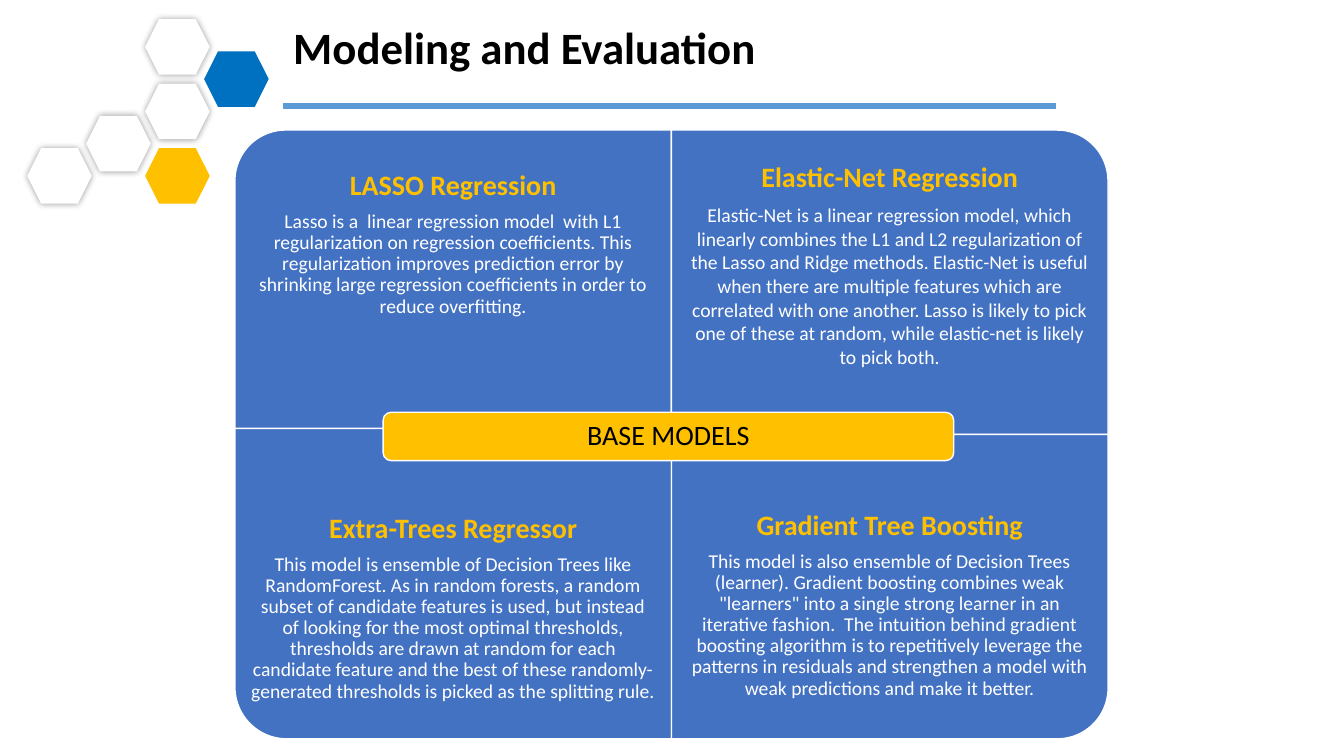
from lxml import etree
from pptx import Presentation
from pptx.dml.color import RGBColor
from pptx.enum import shapes, text
from pptx.oxml.ns import qn
from pptx.util import Inches, Pt

WHITE, BLACK, BLUE, GOLD = "FFFFFF", "000000", "4372C3", "FFC000"
SHAPE = shapes.MSO_SHAPE
ALIGN, ANCHOR = text.PP_ALIGN, text.MSO_ANCHOR

# Each model: name, description, top of its text, line spacing of the description
MODELS = [
    ("LASSO Regression",
     "Lasso is a  linear regression model  with L1 regularization on regression "
     "coefficients. This regularization improves prediction error by shrinking large "
     "regression coefficients in order to reduce overfitting.", 1.70, 0.9),
    ("Elastic-Net Regression",
     "Elastic-Net is a linear regression model, which linearly combines the L1 and L2 "
     "regularization of the Lasso and Ridge methods. Elastic-Net is useful when there are "
     "multiple features which are correlated with one another. Lasso is likely to pick one "
     "of these at random, while elastic-net is likely to pick both.", 1.62, 1.0),
    ("Extra-Trees Regressor",
     "This model is ensemble of Decision Trees like RandomForest. As in random forests, a "
     "random subset of candidate features is used, but instead of looking for the most "
     "optimal thresholds, thresholds are drawn at random for each candidate feature and the "
     "best of these randomly-generated thresholds is picked as the splitting rule.", 5.10, 0.9),
    ("Gradient Tree Boosting",
     "This model is also ensemble of Decision Trees (learner). Gradient boosting combines "
     "weak \"learners\" into a single strong learner in an iterative fashion.  The intuition "
     "behind gradient boosting algorithm is to repetitively leverage the patterns in "
     "residuals and strengthen a model with weak predictions and make it better.", 5.07, 0.9),
]


def rgb(value):
    return RGBColor.from_string(value)


def add_block(s, kind, x, y, w, h, fill, line=None):
    sp = s.shapes.add_shape(kind, Inches(x), Inches(y), Inches(w), Inches(h))
    sp.shadow.inherit = False
    sp.fill.solid()
    sp.fill.fore_color.rgb = rgb(fill)
    if line:
        sp.line.color.rgb = rgb(line)
        sp.line.width = Pt(1)
    else:
        sp.line.fill.background()
    return sp


def set_frame(tf, side, top, anchor=ANCHOR.TOP):
    tf.word_wrap = True
    tf.vertical_anchor = anchor
    tf.margin_left = tf.margin_right = Inches(side)
    tf.margin_top = tf.margin_bottom = Inches(top)


def add_run(p, words, size, color, bold=False):
    r = p.add_run()
    r.text = words
    r.font.name = "Calibri"
    r.font.size = Pt(size)
    r.font.bold = bold
    r.font.color.rgb = rgb(color)


def add_glow(sp):
    """Soft shadow on all sides."""
    effects = sp._element.spPr.find(qn("a:effectLst"))
    shadow = etree.SubElement(effects, qn("a:outerShdw"), blurRad=str(Pt(5)),
                              dist="0", dir="0", algn="ctr", rotWithShape="0")
    color = etree.SubElement(shadow, qn("a:srgbClr"), val=BLACK)
    etree.SubElement(color, qn("a:alpha"), val="40000")


def add_honeycomb(s, x, y):
    cells = [(2, 2, WHITE), (2, 4, GOLD), (3, 1, "0070C0"),
             (2, 0, WHITE), (1, 3, WHITE), (0, 4, WHITE)]
    for col, row, fill in cells:
        sp = add_block(s, SHAPE.HEXAGON, x + 0.585 * col, y + 0.32 * row, 0.64, 0.55, fill)
        if fill == WHITE:
            add_glow(sp)


def add_header(s, x, y, w):
    box = s.shapes.add_textbox(Inches(x), Inches(y), Inches(7.05), Inches(0.64))
    set_frame(box.text_frame, 0.1, 0.05)
    add_run(box.text_frame.paragraphs[0], "Modeling and Evaluation", 32, BLACK, True)
    # Rule under the title
    rule = s.shapes.add_connector(shapes.MSO_CONNECTOR.STRAIGHT, Inches(x), Inches(y + 0.9),
                                  Inches(x + w), Inches(y + 0.9))
    rule.line.color.rgb = rgb("5B9BD5")
    rule.line.width = Pt(4.5)
    etree.SubElement(rule._element.spPr, qn("a:effectLst"))


def add_quadrant(s, x, y, w, h, rotation, model):
    name, description, text_top, spacing = model
    # Panel with its one round corner facing outwards
    pw, ph = (h, w) if rotation in (90, 270) else (w, h)
    panel = add_block(s, SHAPE.ROUND_1_RECTANGLE, x + (w - pw) / 2, y + (h - ph) / 2,
                      pw, ph, BLUE, WHITE)
    panel.rotation = rotation
    # Heading and description
    box = s.shapes.add_textbox(Inches(x), Inches(text_top), Inches(w), Inches(2.2))
    tf = box.text_frame
    set_frame(tf, 0.16, 0)
    p = tf.paragraphs[0]
    p.alignment, p.line_spacing = ALIGN.CENTER, 0.9
    add_run(p, name, 20, GOLD, True)
    p = tf.add_paragraph()
    p.alignment, p.line_spacing, p.space_before = ALIGN.CENTER, spacing, Pt(7)
    add_run(p, description, 14, WHITE)


def add_matrix(s, x, y):
    w, h = 4.33, 3.02
    places = [(x, y, h, 270), (x + w, y, h, 0),
              (x, y + 2.96, 3.08, 180), (x + w, y + h, h, 90)]
    for (left, top, height, rotation), model in zip(places, MODELS):
        add_quadrant(s, left, top, w, height, rotation, model)
    # Centre label
    label = add_block(s, SHAPE.ROUNDED_RECTANGLE, x + 1.47, y + 2.8, 5.66, 0.48, GOLD, WHITE)
    set_frame(label.text_frame, 0.08, 0.08, ANCHOR.MIDDLE)
    p = label.text_frame.paragraphs[0]
    p.alignment, p.line_spacing = ALIGN.CENTER, 0.9
    add_run(p, "BASE MODELS", 20, BLACK)


def main():
    prs = Presentation()
    prs.slide_width, prs.slide_height = Inches(13.33), Inches(7.5)
    s = prs.slides.add_slide(prs.slide_layouts[6])
    add_honeycomb(s, 0.27, 0.19)
    add_header(s, 2.81, 0.15, 7.66)
    add_matrix(s, 2.33, 1.29)
    prs.save("out.pptx")


if __name__ == "__main__":
    main()
